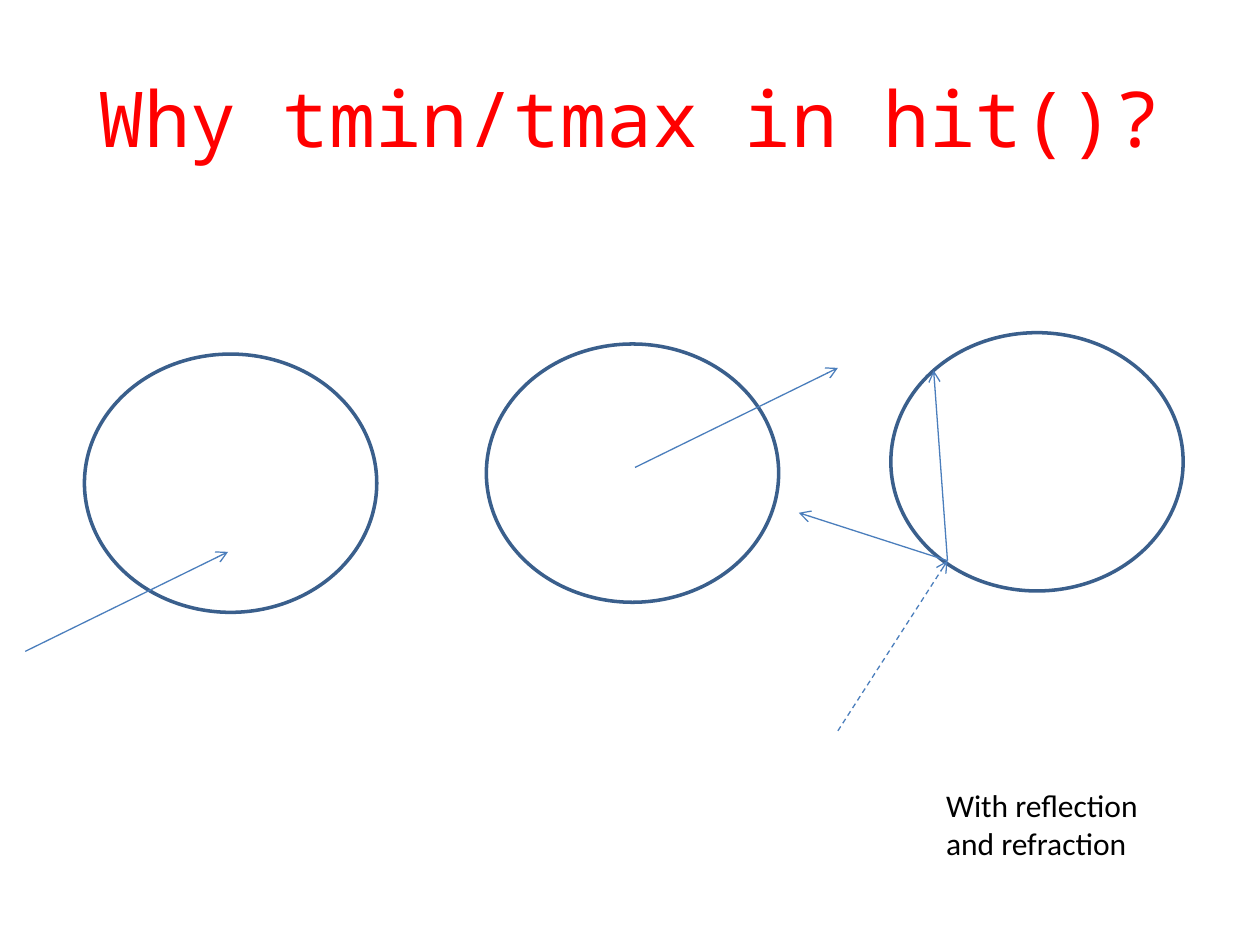
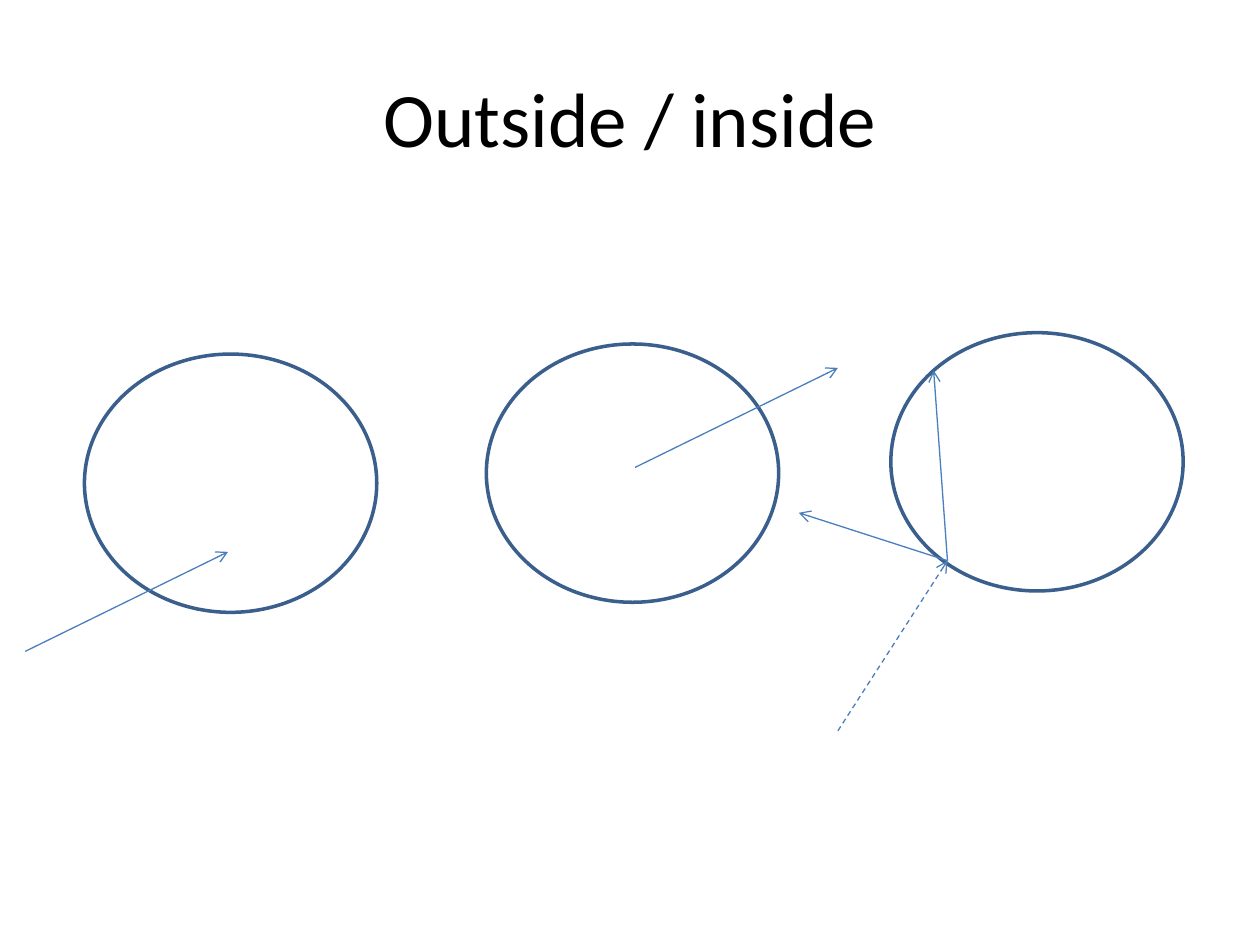
import pptx
import pptx.util
import pptx.dml.color
import pptx.enum.dml
import pptx.enum.shapes
import pptx.enum.text
import lxml.etree
import pptx.oxml.ns

Inches = pptx.util.Inches
Pt = pptx.util.Pt
RGBColor = pptx.dml.color.RGBColor
Align = pptx.enum.text.PP_ALIGN
Anchor = pptx.enum.text.MSO_ANCHOR
qn = pptx.oxml.ns.qn

RED = RGBColor(0xFF, 0x00, 0x00)
BLACK = RGBColor(0x00, 0x00, 0x00)
RIM = RGBColor(0x3A, 0x5F, 0x8C)
RAY = RGBColor(0x4B, 0x7E, 0xBC)
SANS, MONO = "Calibri", "Noto Sans Mono"

# Content: title, its format, and an optional note
SLIDES = [
    ("Why tmin/tmax in hit()?", dict(font=MONO, color=RED),
     "With reflection and refraction"),
    ("Outside / inside", dict(font=SANS, color=BLACK), None),
]
TITLE = (0.5, 0.3, 9, 1.25)
NOTE = (7.41, 6.19, 1.98, 0.71)

# Shared figure: three spheres, each with its rays (start, end, dashed)
SIZE = (2.32, 2.05)
HIT = (7.52, 4.45)
SPHERES = [
    ((0.67, 2.81), [((0.2, 5.17), (1.81, 4.38), False)]),
    ((3.86, 2.73), [((5.04, 3.71), (6.65, 2.92), False)]),
    ((7.07, 2.64), [(HIT, (7.41, 2.94), False),
                    ((6.65, 5.8), HIT, True),
                    (HIT, (6.34, 4.07), False)]),
]


def put_text(slide, text, box, font=SANS, size=18, color=BLACK,
             align=Align.LEFT, anchor=Anchor.TOP):
    frame = slide.shapes.add_textbox(*map(Inches, box)).text_frame
    frame.word_wrap = True
    frame.vertical_anchor = anchor
    para = frame.paragraphs[0]
    para.alignment = align
    run = para.add_run()
    run.text = text
    run.font.name = font
    run.font.size = Pt(size)
    run.font.color.rgb = color


def put_sphere(slide, spot):
    oval = slide.shapes.add_shape(pptx.enum.shapes.MSO_SHAPE.OVAL,
                                  *map(Inches, spot + SIZE))
    oval.shadow.inherit = False
    oval.fill.background()
    oval.line.color.rgb = RIM
    oval.line.width = Pt(2)


def put_ray(slide, start, end, dashed):
    ray = slide.shapes.add_connector(pptx.enum.shapes.MSO_CONNECTOR.STRAIGHT,
                                     *map(Inches, start + end))
    ray.line.color.rgb = RAY
    ray.line.width = Pt(0.75)
    if dashed:
        ray.line.dash_style = pptx.enum.dml.MSO_LINE.DASH
    # Open arrowhead, no shadow
    props = ray._element.spPr
    lxml.etree.SubElement(props.find(qn("a:ln")), qn("a:tailEnd"), type="arrow")
    lxml.etree.SubElement(props, qn("a:effectLst"))


def main():
    deck = pptx.Presentation()
    deck.slide_width, deck.slide_height = Inches(10), Inches(7.5)
    for title, style, note in SLIDES:
        slide = deck.slides.add_slide(deck.slide_layouts[6])
        put_text(slide, title, TITLE, size=44, align=Align.CENTER,
                 anchor=Anchor.MIDDLE, **style)
        for spot, rays in SPHERES:
            put_sphere(slide, spot)
            for ray in rays:
                put_ray(slide, *ray)
        if note:
            put_text(slide, note, NOTE)
    deck.save("out.pptx")


if __name__ == "__main__":
    main()
